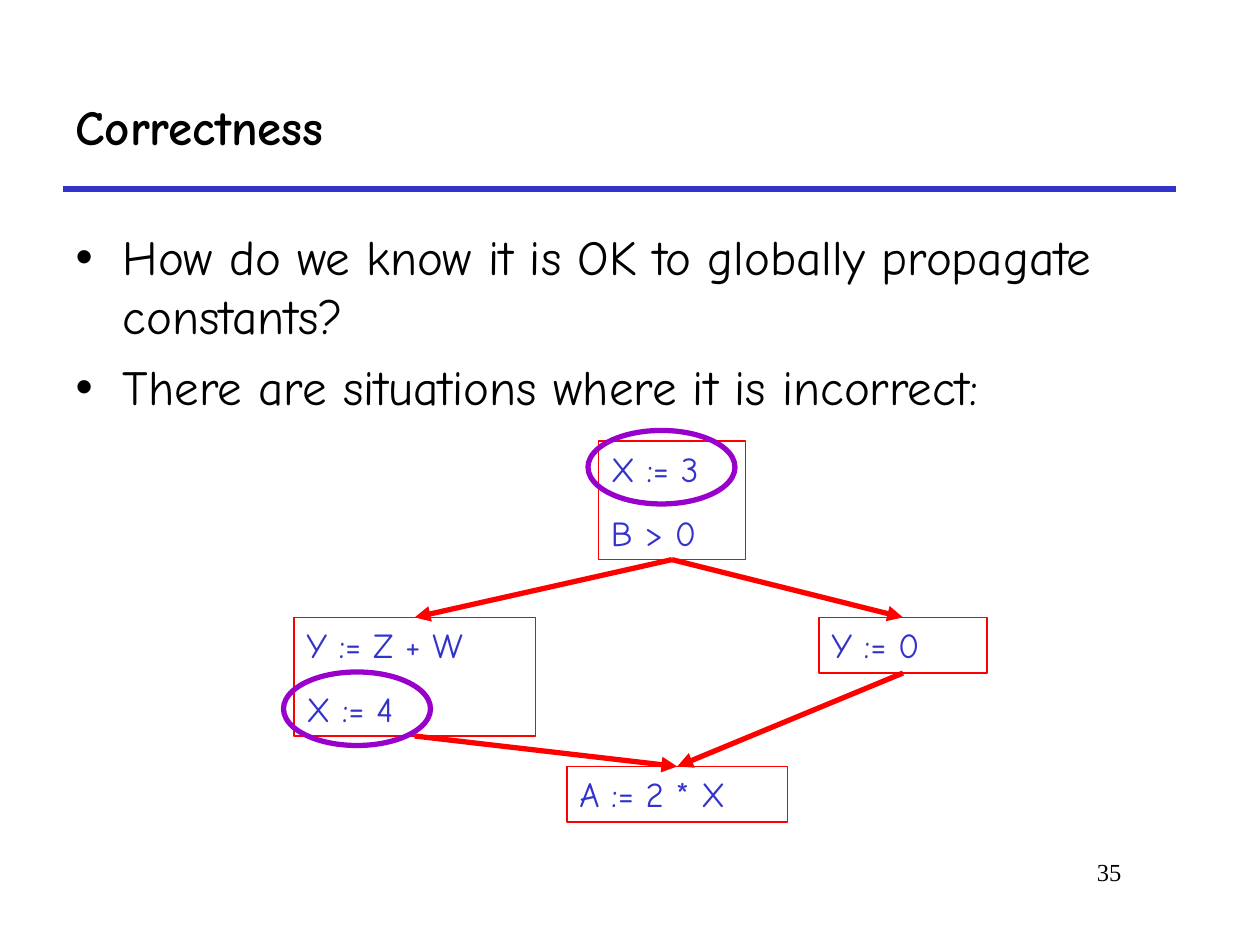
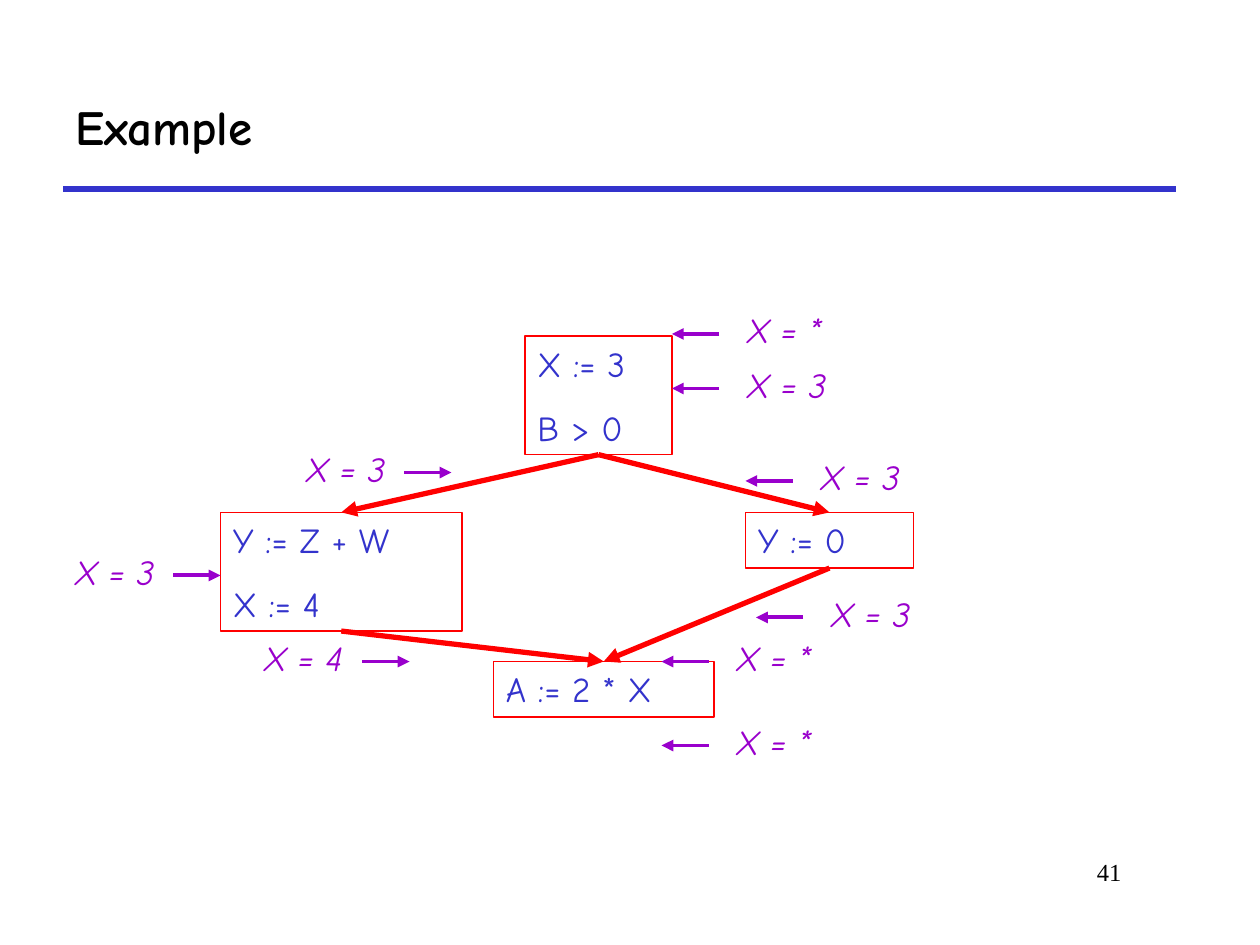
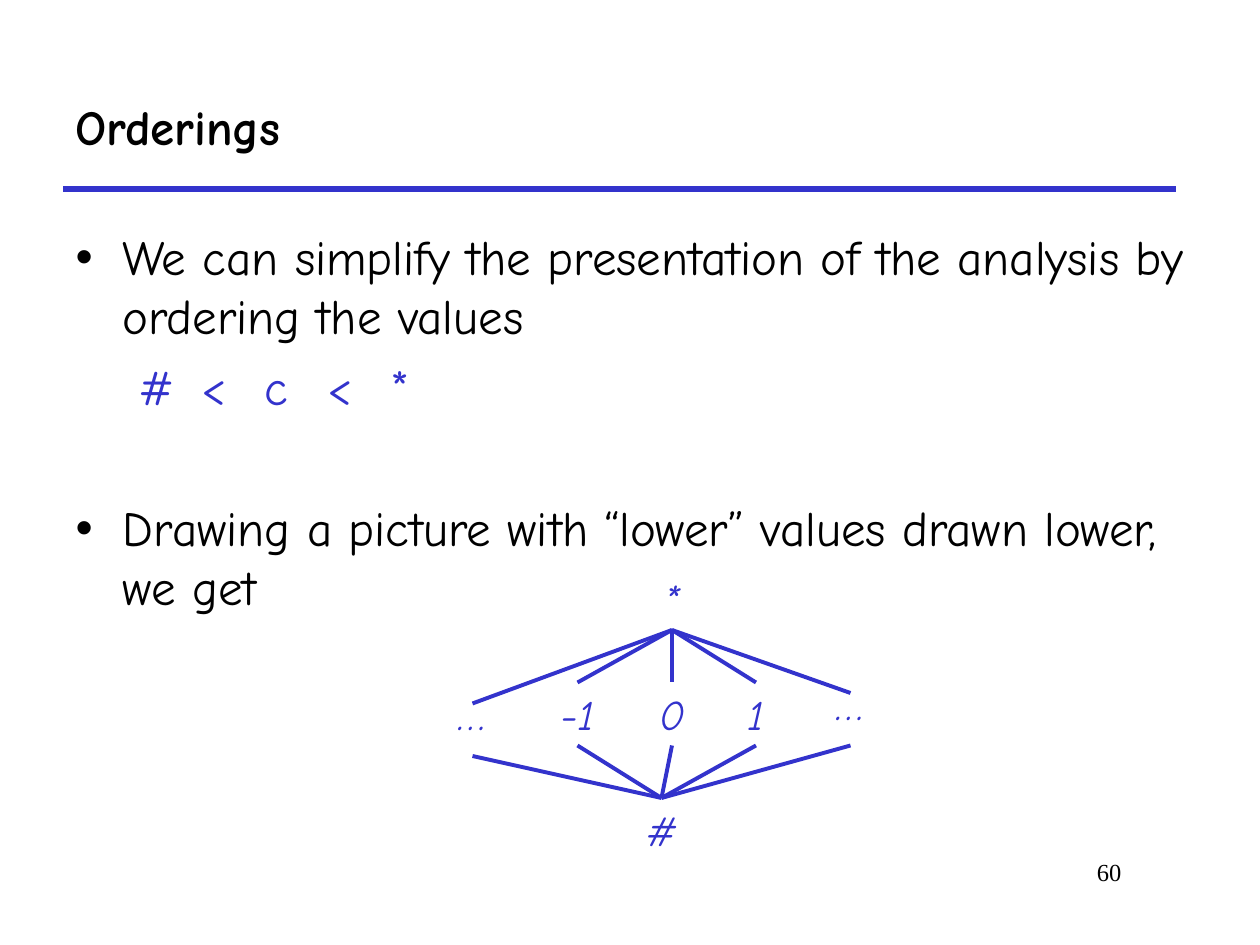
from dataclasses import dataclass

from lxml import etree
from pptx import Presentation
from pptx import util as u
from pptx.dml.color import RGBColor
from pptx.enum import shapes, text
from pptx.oxml.ns import qn

EMU_PER_PX = 7620
TOP, BOTTOM = 0, 2
TITLE_AND_BODY, TITLE_ONLY = 1, 5


@dataclass(frozen=True)
class Theme:
    """Colours, fonts, type sizes and line weights of the deck."""
    ink: str = "000000"
    blue: str = "3333CC"
    red: str = "FF0000"
    purple: str = "9900CC"
    font: str = "Comic Neue"
    number_font: str = "Times New Roman"
    heading: int = 28
    value: int = 24
    code: int = 20
    number: int = 14
    thin: float = 0.75
    medium: float = 2.25
    thick: float = 3


THEME = Theme()


def px(length):
    """Turn a length in px into EMU."""
    return u.Emu(length * EMU_PER_PX)


def place(shape, left, top, width, height):
    """Move and size a shape in px."""
    shape.left, shape.top = px(left), px(top)
    shape.width, shape.height = px(width), px(height)


def style_line(line, color, weight):
    """Set the colour and weight of a line."""
    line.color.rgb = RGBColor.from_string(color)
    line.width = u.Pt(weight)


def style_para(para, size, color, font=THEME.font, bold=False, italic=False,
               align=text.PP_ALIGN.LEFT):
    """Set the font and alignment of a paragraph."""
    para.alignment = align
    para.font.name = font
    para.font.size = u.Pt(size)
    para.font.bold = bold
    para.font.italic = italic
    para.font.color.rgb = RGBColor.from_string(color)


def write_lines(frame, lines, size, color, gap=0, **style):
    """Write one paragraph per line, with a gap between paragraphs."""
    frame.word_wrap = True
    frame.auto_size = text.MSO_AUTO_SIZE.NONE
    frame.text = "\n".join(lines)
    for index, para in enumerate(frame.paragraphs):
        para.space_before = u.Pt(gap if index else 0)
        style_para(para, size, color, **style)


def add_text(slide, words, left, top, width, height, size, color, **style):
    """Add a one-line text box."""
    box = slide.shapes.add_textbox(px(left), px(top), px(width), px(height))
    write_lines(box.text_frame, [words], size, color, **style)
    return box


def add_line(slide, color, weight, start=(0, 0), end=(0, 0), arrow=False):
    """Add a straight connector, with an arrowhead at its end if asked."""
    line = slide.shapes.add_connector(
        shapes.MSO_CONNECTOR.STRAIGHT, *map(px, start + end))
    style_line(line.line, color, weight)
    properties = line._element.spPr
    if arrow:
        etree.SubElement(properties.find(qn("a:ln")), qn("a:tailEnd"), type="triangle")
    etree.SubElement(properties, qn("a:effectLst"))
    return line


def add_outline(slide, preset, left, top, width, height, color, weight):
    """Add an unfilled preset shape."""
    shape = slide.shapes.add_shape(preset, px(left), px(top), px(width), px(height))
    shape.shadow.inherit = False
    shape.fill.background()
    style_line(shape.line, color, weight)
    return shape


def add_slide(deck, layout, title, number):
    """Add a slide with its title, rule and number."""
    slide = deck.slides.add_slide(deck.slide_layouts[layout])
    heading = slide.shapes.title
    place(heading, 60, 60, 1060, 120)
    write_lines(heading.text_frame, [title], THEME.heading, THEME.ink, bold=True)
    heading.text_frame.vertical_anchor = text.MSO_ANCHOR.MIDDLE
    add_line(slide, THEME.blue, THEME.thick, (60, 180), (1120, 180))
    add_text(slide, str(number), 830, 810, 250, 60, THEME.number, THEME.ink,
             font=THEME.number_font, align=text.PP_ALIGN.RIGHT)
    return slide


def fill_body(slide, lines, width, height):
    """Write the body list and return its paragraphs."""
    body = slide.placeholders[1]
    place(body, 60, 210, width, height)
    write_lines(body.text_frame, lines, THEME.heading, THEME.ink, gap=7)
    return body.text_frame.paragraphs


def set_centred_tabs(para, stops):
    """Drop the bullet and indent of a paragraph and centre its items on tab stops."""
    properties = para._p.get_or_add_pPr()
    properties.set("marL", "0")
    properties.set("indent", "0")
    fill = properties.find(qn("a:defRPr"))
    bullet = etree.Element(qn("a:buNone"))
    tabs = etree.Element(qn("a:tabLst"))
    for stop in stops:
        etree.SubElement(tabs, qn("a:tab"), pos=str(px(stop)), algn="ctr")
    fill.addprevious(bullet)
    fill.addprevious(tabs)


def add_block(slide, lines, left, top, width):
    """Add a basic block of the flow graph, tall enough for its lines."""
    height = 53 + 60 * (len(lines) - 1)
    block = add_outline(slide, shapes.MSO_SHAPE.RECTANGLE, left, top, width, height,
                        THEME.red, THEME.thin)
    write_lines(block.text_frame, lines, THEME.code, THEME.blue, gap=12.5)
    block.text_frame.vertical_anchor = text.MSO_ANCHOR.TOP


    return block


def add_flow_graph(slide, left, top):
    """Add the branching flow graph with its upper left corner at a point."""
    entry = add_block(slide, ["X := 3", "B > 0"], left + 290, top, 140)
    then = add_block(slide, ["Y := Z + W", "X := 4"], left, top + 168, 230)
    other = add_block(slide, ["Y := 0"], left + 500, top + 168, 160)
    merge = add_block(slide, ["A := 2 * X"], left + 260, top + 310, 210)
    for source, target in ((entry, then), (entry, other), (then, merge), (other, merge)):
        edge = add_line(slide, THEME.red, THEME.thick, arrow=True)
        edge.begin_connect(source, BOTTOM)
        edge.end_connect(target, TOP)


def add_fact(slide, words, left, top, points_right=False):
    """Add a fact about X and the arrow to its program point."""
    add_text(slide, words, left, top, 110, 53, THEME.code, THEME.purple, italic=True)
    near, far = (105, 150) if points_right else (-15, -60)
    add_line(slide, THEME.purple, THEME.medium, (left + near, top + 30),
             (left + far, top + 30), arrow=True)


def add_value(slide, words, left, top):
    """Add a value of the lattice."""
    return add_text(slide, words, left, top, 80, 60, THEME.value, THEME.blue,
                    italic=True, align=text.PP_ALIGN.CENTER)


def add_lattice(slide):
    """Add the lattice of values between # and *."""
    highest = add_value(slide, "*", 600, 540)
    lowest = add_value(slide, "#", 590, 760)
    for words, left, top in (("…", 410, 650), ("-1", 510, 650), ("0", 600, 650),
                             ("1", 680, 650), ("…", 770, 640)):
        value = add_value(slide, words, left, top)
        middle = left + 40
        upper = add_line(slide, THEME.blue, THEME.medium, end=(middle, top + 20))
        lower = add_line(slide, THEME.blue, THEME.medium, start=(middle, top + 70))
        upper.begin_connect(highest, BOTTOM)
        lower.end_connect(lowest, TOP)
        if words != "…":
            upper.end_connect(value, TOP)
            lower.begin_connect(value, BOTTOM)


def build_correctness(deck):
    """Build the slide on when propagation is incorrect."""
    slide = add_slide(deck, TITLE_AND_BODY, "Correctness", 35)
    fill_body(slide, ["How do we know it is OK to globally propagate constants?",
                      "There are situations where it is incorrect:"], 1090, 580)
    add_flow_graph(slide, 280, 420)
    for left, top in ((270, 640), (560, 410)):
        add_outline(slide, shapes.MSO_SHAPE.OVAL, left, top, 140, 70,
                    THEME.purple, THEME.thick)


def build_example(deck):
    """Build the slide with facts at each program point."""
    slide = add_slide(deck, TITLE_ONLY, "Example", 41)
    add_flow_graph(slide, 210, 320)
    for words, left, top in (("X = *", 700, 288), ("X = 3", 700, 340),
                             ("X = 3", 770, 428), ("X = 3", 780, 558),
                             ("X = *", 690, 600), ("X = *", 690, 680)):
        add_fact(slide, words, left, top)
    for words, left, top in (("X = 3", 280, 420), ("X = 3", 60, 518),
                             ("X = 4", 240, 600)):
        add_fact(slide, words, left, top, points_right=True)


def build_orderings(deck):
    """Build the slide on the ordering of values."""
    slide = add_slide(deck, TITLE_AND_BODY, "Orderings", 60)
    _, ordering, drawing = fill_body(slide, [
        "We can simplify the presentation of the analysis by ordering the values",
        "\t#\t<\tc\t<\t*",
        "Drawing a picture with “lower” values drawn lower, we get"], 1100, 390)
    set_centred_tabs(ordering, (400, 477, 546, 615, 683))
    ordering.font.color.rgb = RGBColor.from_string(THEME.blue)
    drawing.space_before = u.Pt(47)
    add_lattice(slide)


def main():
    """Build and save the deck."""
    deck = Presentation()
    deck.slide_width, deck.slide_height = px(1200), px(900)
    build_correctness(deck)
    build_example(deck)
    build_orderings(deck)
    deck.save("out.pptx")


if __name__ == "__main__":
    main()
